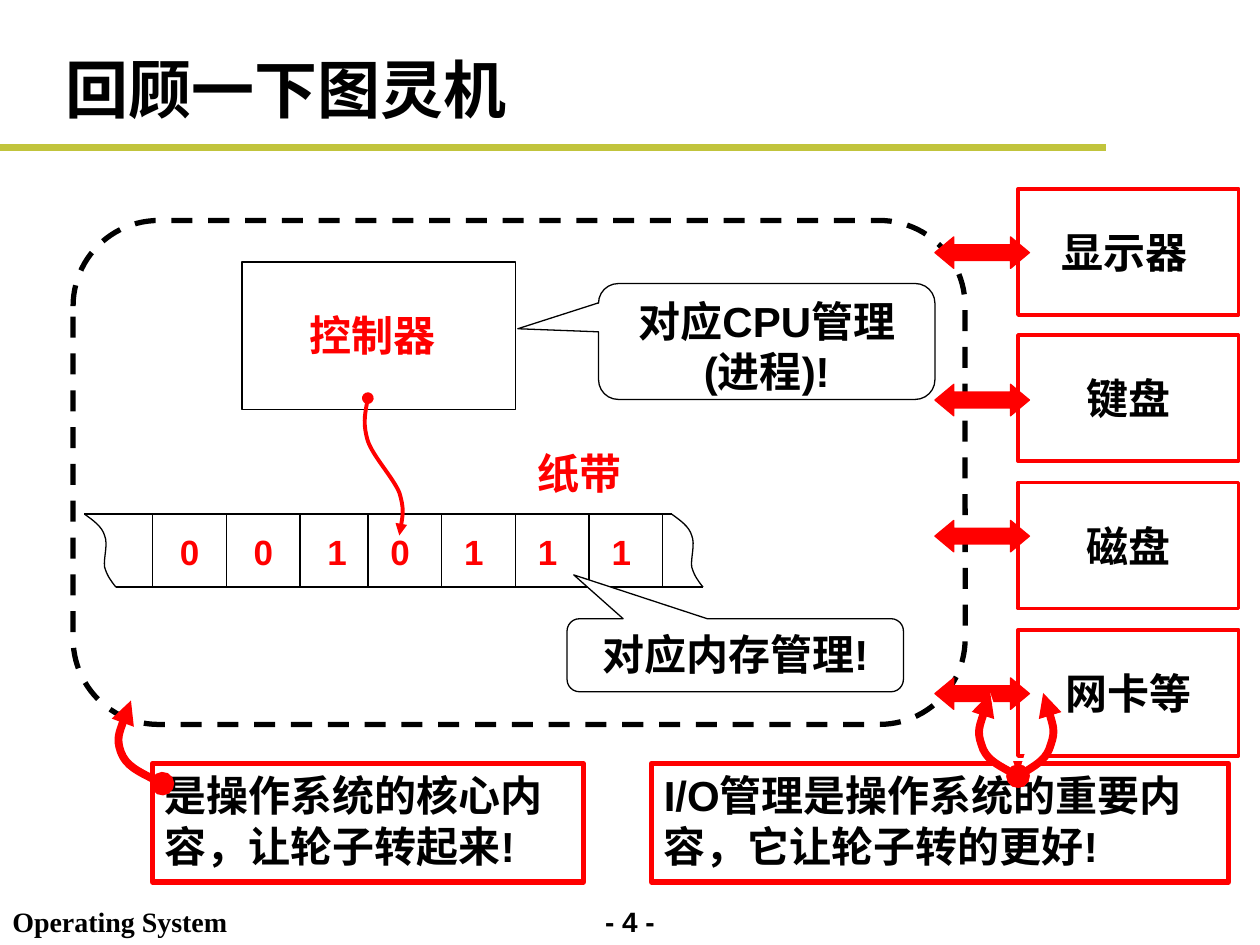
from dataclasses import dataclass
from typing import Optional

import pptx
import pptx.dml.color
import pptx.enum.dml
import pptx.enum.shapes
import pptx.enum.text
import pptx.oxml
import pptx.oxml.ns
import pptx.util

Inches = pptx.util.Inches
Pt = pptx.util.Pt
SHAPE = pptx.enum.shapes.MSO_SHAPE
ALIGN = pptx.enum.text.PP_ALIGN
ANCHOR = pptx.enum.text.MSO_ANCHOR

COLORS = {"black": "000000", "white": "FFFFFF", "red": "FF0000", "olive": "C1C43C"}
Box = tuple[float, float, float, float]
Point = tuple[float, float]


@dataclass
class Device:
    name: str
    top: float
    arrow_top: float
    label_left: float = 8.25
    align: ALIGN = ALIGN.CENTER


@dataclass
class Callout:
    text: str
    box: Box
    tip: Point


@dataclass
class Curve:
    """Bezier points: a start, then two handles and an end per segment."""
    points: list[Point]
    color: str = "red"
    width: float = 4.5
    fill: Optional[str] = None
    arrow: bool = True


DEVICES = [
    Device("显示器", 1.5, 1.88, 8.33, ALIGN.LEFT),
    Device("键盘", 2.66, 3.05),
    Device("磁盘", 3.83, 4.13),
    Device("网卡等", 5, 5.38),
]
CALLOUTS = [
    Callout("对应CPU管理(进程)!", (4.75, 2.25, 2.67, 0.92), (0.74, 0.11)),
    Callout("对应内存管理!", (4.5, 4.91, 2.67, 0.58), (0.48, 1.1)),
]
TAPE_TOP, TAPE_BOTTOM, CELL = 4.08, 4.66, 0.585
TAPE_EDGE = [(0.67, 4.08), (0.74, 4.13), (0.81, 4.18), (0.83, 4.25), (0.86, 4.32),
             (0.82, 4.43), (0.83, 4.5), (0.85, 4.57), (0.88, 4.61), (0.92, 4.66)]
TAPE_LENGTH = 4.66
HEAD_CURVE = Curve([(2.92, 3.16), (2.9, 3.27), (2.88, 3.37), (2.92, 3.5), (2.96, 3.62),
                    (3.12, 3.79), (3.17, 3.91), (3.21, 4.04), (3.19, 4.14), (3.17, 4.25)],
                   width=2.25)
CORE_CURVE = Curve([(1.29, 6.22), (1.15, 6.15), (1, 6.08), (0.96, 5.97),
                    (0.92, 5.86), (0.98, 5.71), (1.04, 5.56)])
DEVICE_CURVES = [
    Curve([(8.08, 6.16), (8.2, 6.09), (8.31, 6.02), (8.34, 5.91),
           (8.38, 5.8), (8.33, 5.65), (8.28, 5.5)], fill="white"),
    Curve([(8.08, 6.16), (7.95, 6.09), (7.82, 6.02), (7.79, 5.91),
           (7.75, 5.8), (7.81, 5.65), (7.86, 5.5)], fill="white"),
]

presentation = pptx.Presentation()
presentation.slide_width = Inches(10)
presentation.slide_height = Inches(7.5)
slide = presentation.slides.add_slide(presentation.slide_layouts[6])


def rgb(name: str) -> pptx.dml.color.RGBColor:
    return pptx.dml.color.RGBColor.from_string(COLORS[name])


def write(shape, text: str, size: float = 24, color: str = "black",
          align=ALIGN.LEFT, anchor=ANCHOR.TOP, font: str = "Arial", wrap: bool = True) -> None:
    frame = shape.text_frame
    frame.text = text
    frame.word_wrap = wrap
    frame.vertical_anchor = anchor
    paragraph = frame.paragraphs[0]
    paragraph.alignment = align
    for run in paragraph.runs:
        run.font.size = Pt(size)
        run.font.bold = True
        run.font.name = font
        run.font.color.rgb = rgb(color)


def add_text(box: Box, text: str, **style) -> None:
    write(slide.shapes.add_textbox(*map(Inches, box)), text, **style)


def paint(shape, fill: Optional[str], line: str, width: float) -> None:
    shape.shadow.inherit = False
    if fill:
        shape.fill.solid()
        shape.fill.fore_color.rgb = rgb(fill)
    else:
        shape.fill.background()
    shape.line.color.rgb = rgb(line)
    shape.line.width = Pt(width)


def add_shape(kind: SHAPE, box: Box, fill: Optional[str], line: str, width: float,
              adjustments: tuple[float, ...] = ()):
    shape = slide.shapes.add_shape(kind, *map(Inches, box))
    paint(shape, fill, line, width)
    for index, value in enumerate(adjustments):
        shape.adjustments[index] = value
    return shape


def add_line(start: Point, end: Point, color: str = "black", width: float = 0.75) -> None:
    connector = slide.shapes.add_connector(
        pptx.enum.shapes.MSO_CONNECTOR.STRAIGHT, *map(Inches, start + end))
    connector.line.color.rgb = rgb(color)
    connector.line.width = Pt(width)
    pptx.oxml.ns.qn("a:effectLst")
    connector._element.spPr.append(pptx.oxml.parse_xml(
        f'<a:effectLst {pptx.oxml.ns.nsdecls("a")}/>'))


def add_curve(curve: Curve) -> None:
    points = [(Inches(x), Inches(y)) for x, y in curve.points]
    builder = slide.shapes.build_freeform(*points[0])
    builder.add_line_segments(points[1:], close=False)
    shape = builder.convert_to_shape()
    paint(shape, curve.fill, curve.color, curve.width)
    # Turn every three straight segments into one Bezier segment
    qn, namespace = pptx.oxml.ns.qn, pptx.oxml.ns.nsdecls("a")
    path = next(shape._element.iter(qn("a:path")))
    segments = path.findall(qn("a:lnTo"))
    for start in range(0, len(segments), 3):
        bezier = pptx.oxml.parse_xml(f"<a:cubicBezTo {namespace}/>")
        for segment in segments[start:start + 3]:
            bezier.append(segment[0])
            path.remove(segment)
        path.append(bezier)
    if curve.arrow:
        line = shape.line._get_or_add_ln()
        for end, style in (("headEnd", "oval"), ("tailEnd", "triangle")):
            line.append(pptx.oxml.parse_xml(f'<a:{end} {namespace} type="{style}"/>'))


def add_callout(callout: Callout) -> None:
    # The half turn of the shape is undone for its text
    shape = add_shape(SHAPE.ROUNDED_RECTANGULAR_CALLOUT, callout.box, "white", "black", 0.75,
                      callout.tip + (0.17,))
    shape.rotation = 180
    write(shape, callout.text, align=ALIGN.CENTER)
    shape.text_frame._txBody.bodyPr.set("rot", "10800000")


# Footer, title and rule
add_text((4.5, 7.13, 1, 0.37), "- 4 -", size=16, align=ALIGN.CENTER)
add_text((0, 7.13, 1.91, 0.37), "Operating System", size=16, font="Times New Roman", wrap=False)
add_line((0, 1.17), (8.78, 1.17), "olive", 4)
add_text((0.42, 0.33, 8.58, 0.74), "回顾一下图灵机", size=36, anchor=ANCHOR.MIDDLE)

# Controller
add_shape(SHAPE.RECTANGLE, (1.92, 2.08, 2.17, 1.17), "white", "black", 0.75)
add_text((2.08, 2.41, 1.75, 0.5), "控制器", color="red", align=ALIGN.CENTER)

# Tape with its cells and the reading head
for left, y in ((0.67, TAPE_TOP), (0.92, TAPE_BOTTOM)):
    add_line((left, y), (left + TAPE_LENGTH, y))
for shift in (0, TAPE_LENGTH):
    add_curve(Curve([(x + shift, y) for x, y in TAPE_EDGE], "black", 0.75, arrow=False))
add_text((4.17, 3.5, 1.08, 0.5), "纸带", color="red")
add_curve(HEAD_CURVE)
for first_line, first_digit, digits, lines in ((1.21, 1.33, "001", 3), (2.92, 3, "0111", 5)):
    for index in range(lines):
        x = first_line + index * CELL
        add_line((x, TAPE_TOP), (x, TAPE_BOTTOM))
    for index, digit in enumerate(digits):
        add_text((first_digit + index * CELL, 4.16, 0.42, 0.43), digit, size=20, color="red")

# Callouts and the dashed frame
for callout in CALLOUTS:
    add_callout(callout)
frame_shape = add_shape(SHAPE.ROUNDED_RECTANGLE, (0.58, 1.75, 7.08, 4), None, "black", 3, (0.17,))
frame_shape.line.dash_style = pptx.enum.dml.MSO_LINE.DASH

# Devices, then the arrows to them
for device in DEVICES:
    add_shape(SHAPE.RECTANGLE, (8.08, device.top, 1.75, 1), None, "red", 2.25)
    add_text((device.label_left, device.top + 0.25, 1.42, 0.5), device.name, align=device.align)
for device in DEVICES:
    add_shape(SHAPE.LEFT_RIGHT_ARROW, (7.42, device.arrow_top, 0.75, 0.25),
              "red", "red", 0.75, (0.5, 0.6))

# Remarks with curved pointers
for box, fill, remark, curves in (
    ((1.21, 6.06, 3.42, 0.94), None, "是操作系统的核心内容，让轮子转起来!", [CORE_CURVE]),
    ((5.17, 6.06, 4.58, 0.94), "white", "I/O管理是操作系统的重要内容，它让轮子转的更好!", DEVICE_CURVES),
):
    write(add_shape(SHAPE.RECTANGLE, box, fill, "red", 3), remark)
    for curve in curves:
        add_curve(curve)

presentation.save("out.pptx")
